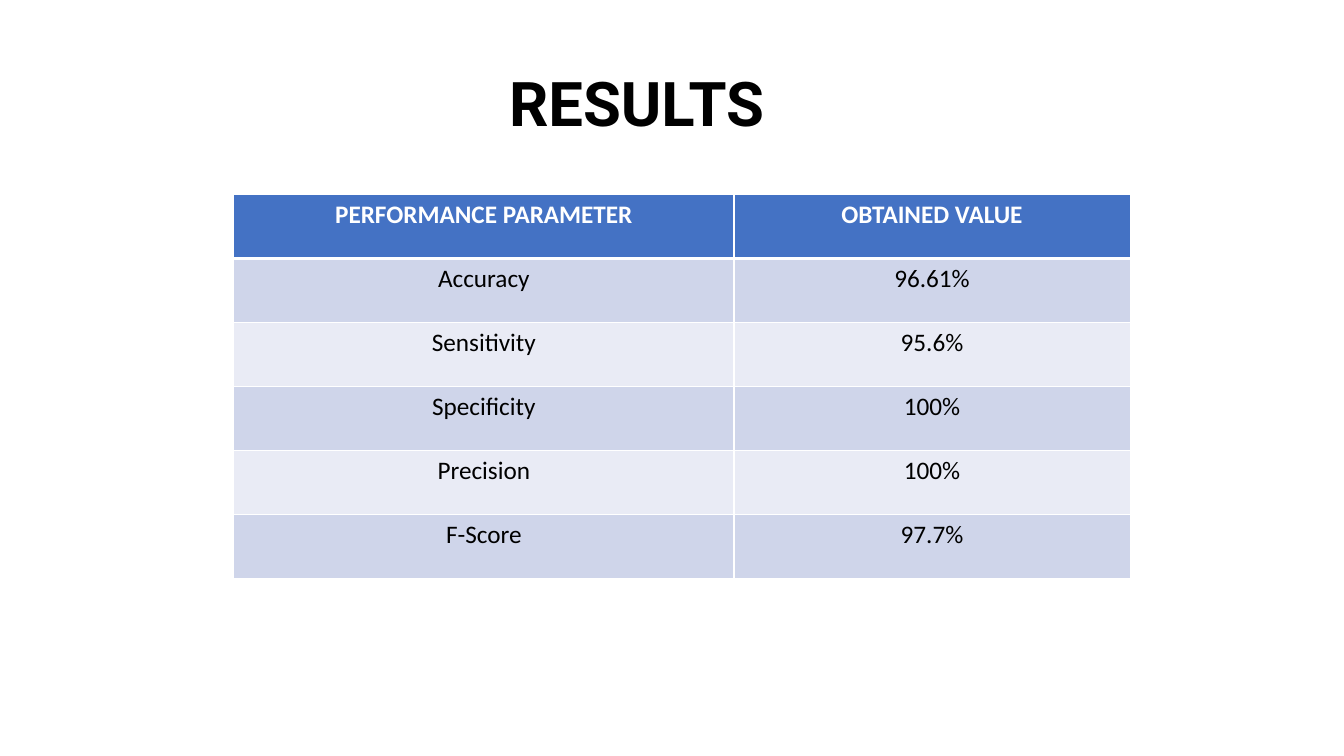
from lxml import etree
from pptx import Presentation
from pptx.dml.color import RGBColor
from pptx.enum.text import MSO_ANCHOR, MSO_AUTO_SIZE, PP_ALIGN
from pptx.oxml.ns import qn
from pptx.util import Inches, Pt

LEFT, CENTER = PP_ALIGN.LEFT, PP_ALIGN.CENTER
TOP, MIDDLE = MSO_ANCHOR.TOP, MSO_ANCHOR.MIDDLE
NO_AUTOFIT = MSO_AUTO_SIZE.NONE

BLACK = RGBColor(0x00, 0x00, 0x00)
WHITE = RGBColor(0xFF, 0xFF, 0xFF)
HEADER_BLUE = RGBColor(0x44, 0x72, 0xC4)
BANDS = [RGBColor(0xCF, 0xD5, 0xEA), RGBColor(0xE9, 0xEB, 0xF5)]

TITLE_FONT = {"name": "Roboto", "size": Pt(44), "bold": True}
HEADER_FONT = {"name": "Calibri", "size": Pt(18), "bold": True}
BODY_FONT = {"name": "Calibri", "size": Pt(18), "bold": False}

TITLE_ONLY = 5
GRID = 100

RESULTS = [
    ("PERFORMANCE PARAMETER", "OBTAINED VALUE"),
    ("Accuracy", "96.61%"),
    ("Sensitivity", "95.6%"),
    ("Specificity", "100%"),
    ("Precision", "100%"),
    ("F-Score", "97.7%"),
]


class SlideBuilder:
    """Places styled elements on a grid of 100 columns by 100 rows."""

    def __init__(self, deck):
        self.deck = deck
        self.page = deck.slides.add_slide(deck.slide_layouts[TITLE_ONLY])
        fill = self.page.background.fill
        fill.solid()
        fill.fore_color.rgb = WHITE

    def across(self, columns):
        return round(self.deck.slide_width * columns / GRID)

    def down(self, rows):
        return round(self.deck.slide_height * rows / GRID)

    def add_text(self, frame, text, style, color, alignment):
        para = frame.paragraphs[0]
        para.alignment = alignment
        span = para.add_run()
        span.text = text
        for name, value in style.items():
            setattr(span.font, name, value)
        span.font.color.rgb = color
        return para

    def title(self, text, left, top, width, height):
        box = self.page.shapes.title
        box.left, box.top = self.across(left), self.down(top)
        box.width, box.height = self.across(width), self.down(height)
        frame = box.text_frame
        frame.auto_size = NO_AUTOFIT
        frame.vertical_anchor = MIDDLE
        para = self.add_text(frame, text, TITLE_FONT, BLACK, LEFT)
        para.line_spacing = 0.9

    def border(self, cell, side, points):
        properties = cell._tc.get_or_add_tcPr()
        line = etree.SubElement(properties, qn(f"a:ln{side}"), w=str(Pt(points)))
        fill = etree.SubElement(line, qn("a:solidFill"))
        etree.SubElement(fill, qn("a:srgbClr"), val=str(WHITE))

    def table(self, records, left, top, column_widths, row_height):
        box = self.page.shapes.add_table(
            len(records), len(column_widths),
            self.across(left), self.down(top),
            self.across(sum(column_widths)), self.down(row_height * len(records)))
        for column, width in zip(box.table.columns, column_widths):
            column.width = self.across(width)
        for index, record in enumerate(records):
            box.table.rows[index].height = self.down(row_height)
            for column, text in enumerate(record):
                self.cell(box.table.cell(index, column), index, text)

    def cell(self, cell, row, text):
        header = row == 0
        # The header is set off from the body by a thicker rule.
        widths = {"L": 1, "R": 1, "T": 3 if row == 1 else 1, "B": 3 if header else 1}
        for side, points in widths.items():
            self.border(cell, side, points)
        cell.fill.solid()
        cell.fill.fore_color.rgb = HEADER_BLUE if header else BANDS[(row - 1) % 2]
        cell.vertical_anchor = TOP
        self.add_text(cell.text_frame, text, HEADER_FONT if header else BODY_FONT,
                      WHITE if header else BLACK, CENTER)


def main():
    deck = Presentation()
    deck.slide_width, deck.slide_height = Inches(13.33), Inches(7.5)
    builder = SlideBuilder(deck)
    builder.title("RESULTS", left=37.13, top=7.07, width=21.68, height=14.13)
    builder.table(RESULTS, left=17.4, top=25.73,
                  column_widths=[37.21, 29.48], row_height=8.47)
    deck.save("out.pptx")


if __name__ == "__main__":
    main()
